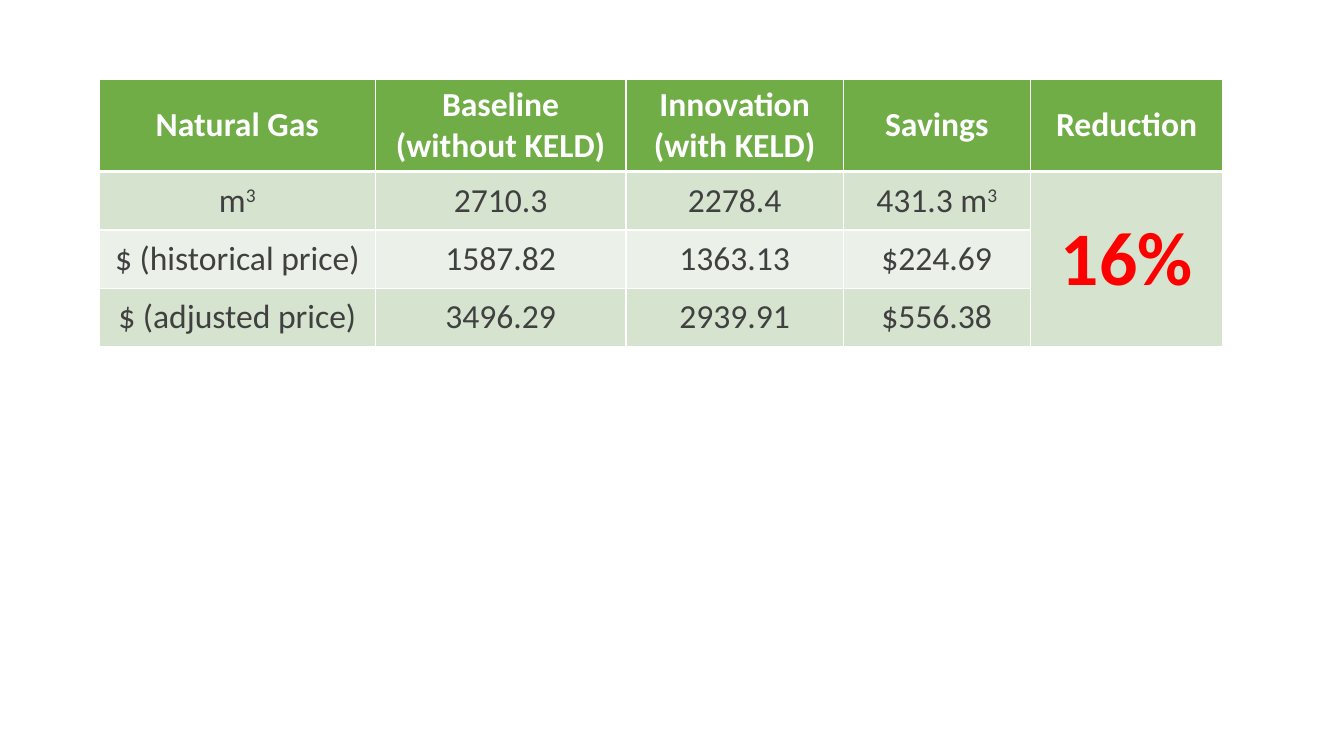
from lxml import etree
from pptx import Presentation
from pptx.dml.color import RGBColor
from pptx.enum import text
from pptx.oxml import ns
from pptx.util import Pt

# "^" marks the start of a superscript, "\n" a new paragraph
HEADER = ["Natural Gas", "Baseline\n(without KELD)", "Innovation\n(with KELD)",
          "Savings", "Reduction"]
USAGE = [
    ["m^3", "2710.3", "2278.4", "431.3 m^3"],
    ["$ (historical price)", "1587.82", "1363.13", "$224.69"],
    ["$ (adjusted price)", "3496.29", "2939.91", "$556.38"],
]
REDUCTION = "16%"

LEFT, TOP = 71, 56.8
COLUMN_WIDTHS = [197, 179.2, 155.2, 133.5, 137.8]
HEADER_HEIGHT, ROW_HEIGHT = 59, 41.7
GREEN, BAND_DARK, BAND_LIGHT = "70AD47", "D5E3CF", "EBF1E9"
WHITE, GREY, RED = "FFFFFF", "404040", "FF0000"


def rgb(value):
    return RGBColor.from_string(value)


def add_borders(cell, bottom):
    """Draw white borders, 1 pt wide except for the bottom one."""
    properties = cell._tc.get_or_add_tcPr()
    for side, width in (("L", 1), ("R", 1), ("T", 1), ("B", bottom)):
        line = etree.SubElement(properties, ns.qn(f"a:ln{side}"), w=str(Pt(width)))
        solid = etree.SubElement(line, ns.qn("a:solidFill"))
        etree.SubElement(solid, ns.qn("a:srgbClr"), val=WHITE)


def write(cell, words, fill, size=24, color=GREY, bold=False, bottom=1):
    add_borders(cell, bottom)
    cell.fill.solid()
    cell.fill.fore_color.rgb = rgb(fill)
    cell.vertical_anchor = text.MSO_ANCHOR.MIDDLE
    cell.text = words.replace("^", "")
    for paragraph, line in zip(cell.text_frame.paragraphs, words.split("\n")):
        paragraph.alignment = text.PP_ALIGN.CENTER
        base, _, superscript = line.partition("^")
        paragraph.runs[0].text = base
        if superscript:
            raised = paragraph.add_run()
            raised.text = superscript
            raised._r.get_or_add_rPr().set("baseline", "30000")
        for run in paragraph.runs:
            run.font.name = "Calibri"
            run.font.size = Pt(size)
            run.font.bold = bold
            run.font.color.rgb = rgb(color)


def main():
    deck = Presentation()
    deck.slide_width, deck.slide_height = Pt(960), Pt(540)
    slide = deck.slides.add_slide(deck.slide_layouts[6])

    row_heights = [HEADER_HEIGHT] + [ROW_HEIGHT] * len(USAGE)
    savings = slide.shapes.add_table(
        len(row_heights), len(HEADER), Pt(LEFT), Pt(TOP),
        Pt(sum(COLUMN_WIDTHS)), Pt(sum(row_heights))).table
    for column, width in zip(savings.columns, COLUMN_WIDTHS):
        column.width = Pt(width)
    for row, height in zip(savings.rows, row_heights):
        row.height = Pt(height)

    for c, heading in enumerate(HEADER):
        write(savings.cell(0, c), heading, GREEN, color=WHITE, bold=True, bottom=3)
    for r, values in enumerate(USAGE, 1):
        for c, value in enumerate(values):
            write(savings.cell(r, c), value, BAND_DARK if r % 2 else BAND_LIGHT)

    last = len(HEADER) - 1
    reduction = savings.cell(1, last)
    reduction.merge(savings.cell(len(USAGE), last))
    write(reduction, REDUCTION, BAND_DARK, size=54, color=RED, bold=True)

    deck.save("out.pptx")


if __name__ == "__main__":
    main()
